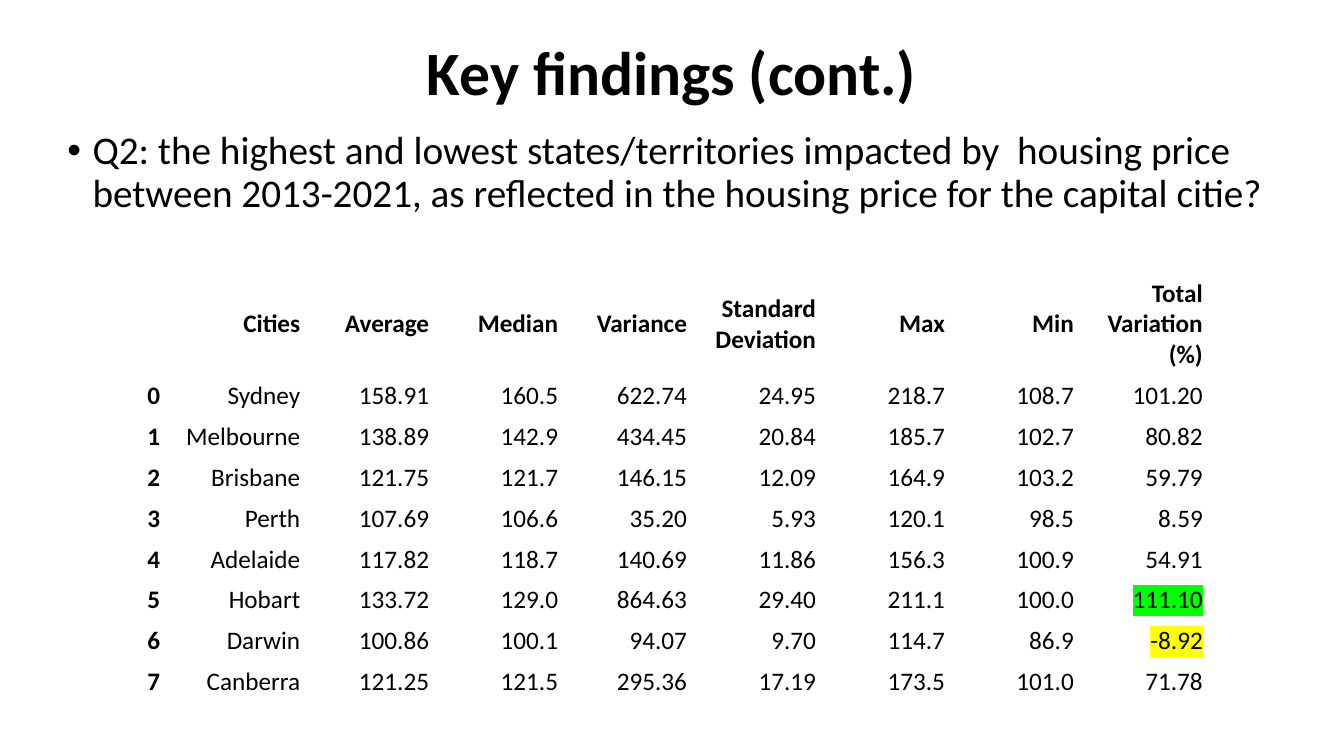
import dataclasses

import pptx
import pptx.dml.color
import pptx.enum.text
import pptx.oxml.ns
import pptx.slide
import pptx.text.text
import pptx.util
from lxml import etree

Pt = pptx.util.Pt
Align = pptx.enum.text.PP_ALIGN
Anchor = pptx.enum.text.MSO_ANCHOR


@dataclasses.dataclass(frozen=True)
class Theme:
    font: str = "Calibri"
    ink: str = "000000"
    paper: str = "FFFFFF"
    highest: str = "00FF00"
    lowest: str = "FFFF00"
    title_size: float = 44
    question_size: float = 28
    table_size: float = 18


@dataclasses.dataclass(frozen=True)
class Box:
    left: float
    top: float
    width: float
    height: float


@dataclasses.dataclass(frozen=True)
class City:
    name: str
    average: str
    median: str
    variance: str
    deviation: str
    maximum: str
    minimum: str
    variation: str


THEME = Theme()
TITLE = Box(66, 24.5, 828, 58.3)
QUESTION = Box(41, 90, 879, 425)
TABLE = Box(94.3, 195.1, 772, 306.7)
INDEX_WIDTH, CITY_WIDTH, VALUE_WIDTH = 27.2, 100.2, 92.1
HEADER_HEIGHT, ROW_HEIGHT = 73.1, 29.2
BULLET_INDENT = 18
HEADERS = ("", "Cities", "Average", "Median", "Variance", "Standard Deviation",
           "Max", "Min", "Total Variation (%)")
CITIES = (
    City("Sydney", "158.91", "160.5", "622.74", "24.95", "218.7", "108.7", "101.20"),
    City("Melbourne", "138.89", "142.9", "434.45", "20.84", "185.7", "102.7", "80.82"),
    City("Brisbane", "121.75", "121.7", "146.15", "12.09", "164.9", "103.2", "59.79"),
    City("Perth", "107.69", "106.6", "35.20", "5.93", "120.1", "98.5", "8.59"),
    City("Adelaide", "117.82", "118.7", "140.69", "11.86", "156.3", "100.9", "54.91"),
    City("Hobart", "133.72", "129.0", "864.63", "29.40", "211.1", "100.0", "111.10"),
    City("Darwin", "100.86", "100.1", "94.07", "9.70", "114.7", "86.9", "-8.92"),
    City("Canberra", "121.25", "121.5", "295.36", "17.19", "173.5", "101.0", "71.78"),
)
HIGHLIGHTS = {"111.10": THEME.highest, "-8.92": THEME.lowest}


def rgb(color: str) -> pptx.dml.color.RGBColor:
    """Turn a hex string into a colour."""
    return pptx.dml.color.RGBColor.from_string(color)


def write(p: pptx.text.text._Paragraph, text: str, size: float, bold: bool,
          align: Align) -> None:
    """Fill a paragraph with one styled run."""
    p.add_run().text = text
    p.alignment = align
    p.font.name = THEME.font
    p.font.size = Pt(size)
    p.font.bold = bold
    p.font.color.rgb = rgb(THEME.ink)


def add_text(s: pptx.slide.Slide, box: Box, text: str, size: float, bold: bool,
             align: Align, anchor: Anchor) -> pptx.text.text._Paragraph:
    """Add a wrapping text box and return its paragraph."""
    sp = s.shapes.add_textbox(Pt(box.left), Pt(box.top), Pt(box.width), Pt(box.height))
    tf = sp.text_frame
    tf.word_wrap = True
    tf.vertical_anchor = anchor
    p = tf.paragraphs[0]
    write(p, text, size, bold, align)
    p.line_spacing = 0.9
    return p


def add_bullet(p: pptx.text.text._Paragraph) -> None:
    """Give a paragraph a hanging round bullet."""
    qn = pptx.oxml.ns.qn
    props = p._p.get_or_add_pPr()
    props.set("marL", str(Pt(BULLET_INDENT)))
    props.set("indent", str(-Pt(BULLET_INDENT)))
    font = etree.Element(qn("a:buFont"), typeface="Arial")
    char = etree.Element(qn("a:buChar"), char="•")
    defaults = props.find(qn("a:defRPr"))
    defaults.addprevious(font)
    defaults.addprevious(char)


def highlight(r: pptx.text.text._Run, color: str) -> None:
    """Mark a run with a background colour."""
    qn = pptx.oxml.ns.qn
    mark = etree.SubElement(r._r.get_or_add_rPr(), qn("a:highlight"))
    etree.SubElement(mark, qn("a:srgbClr"), val=color)


def add_city_table(s: pptx.slide.Slide) -> None:
    """Add the table of housing price statistics by city."""
    rows = [HEADERS] + [(str(i), *dataclasses.astuple(city)) for i, city in enumerate(CITIES)]
    table = s.shapes.add_table(len(rows), len(HEADERS), Pt(TABLE.left), Pt(TABLE.top),
                               Pt(TABLE.width), Pt(TABLE.height)).table
    table.first_row = False
    table.horz_banding = False
    widths = [INDEX_WIDTH, CITY_WIDTH] + [VALUE_WIDTH] * (len(HEADERS) - 2)
    for column, width in zip(table.columns, widths):
        column.width = Pt(width)
    for i, values in enumerate(rows):
        table.rows[i].height = Pt(ROW_HEIGHT if i else HEADER_HEIGHT)
        for j, value in enumerate(values):
            cell = table.cell(i, j)
            cell.fill.solid()
            cell.fill.fore_color.rgb = rgb(THEME.paper)
            cell.vertical_anchor = Anchor.MIDDLE
            if value:
                p = cell.text_frame.paragraphs[0]
                write(p, value, THEME.table_size, i == 0 or j == 0, Align.RIGHT)
                if value in HIGHLIGHTS:
                    highlight(p.runs[0], HIGHLIGHTS[value])


def main() -> None:
    """Build the slide and save it."""
    prs = pptx.Presentation()
    prs.slide_width, prs.slide_height = Pt(960), Pt(540)
    s = prs.slides.add_slide(prs.slide_layouts[6])
    add_text(s, TITLE, "Key findings (cont.)", THEME.title_size, True,
             Align.CENTER, Anchor.MIDDLE)
    question = add_text(
        s, QUESTION,
        "Q2: the highest and lowest states/territories impacted by  housing price "
        "between 2013-2021, as reflected in the housing price for the capital citie?",
        THEME.question_size, False, Align.LEFT, Anchor.TOP)
    question.space_before = Pt(10)
    add_bullet(question)
    add_city_table(s)
    prs.save("out.pptx")


if __name__ == "__main__":
    main()
